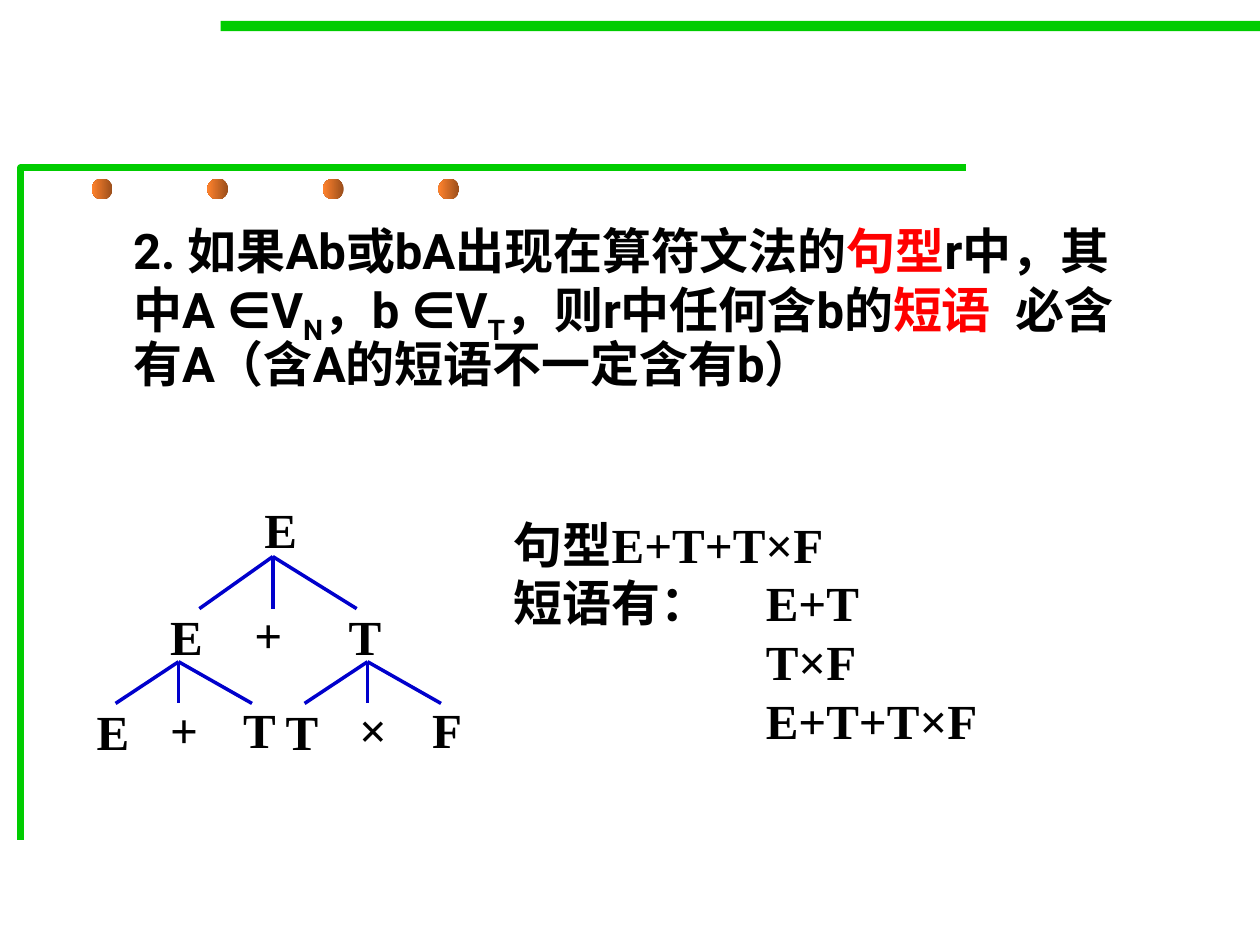
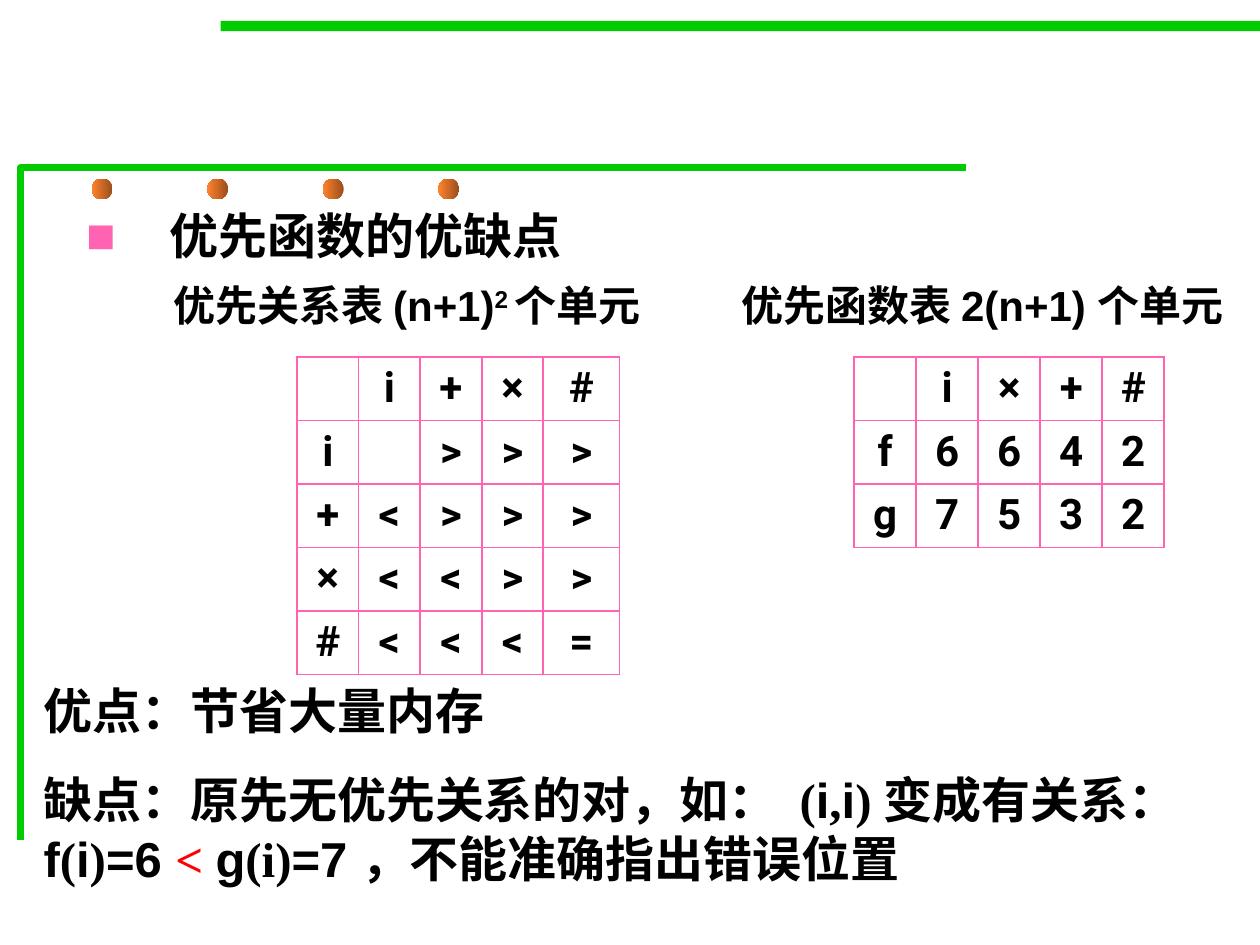
from lxml import etree
from pptx import Presentation
from pptx import util as u
from pptx.dml.color import RGBColor
from pptx.enum import shapes, text
from pptx.oxml.ns import qn

BLACK = RGBColor(0x00, 0x00, 0x00)
RED = RGBColor(0xFF, 0x00, 0x00)
GREEN = RGBColor(0x00, 0xCC, 0x00)
BLUE = RGBColor(0x00, 0x00, 0xCC)
PINK = RGBColor(0xFF, 0x63, 0xB1)
DARK_ORANGE = RGBColor(0x9A, 0x4E, 0x1B)
ORANGE = RGBColor(0xFF, 0x82, 0x2D)
SERIF, SANS, ROBOTO = "Times New Roman", "Arial", "Roboto"
TAB_STEP = 2.54


class Deck:
    def __init__(self):
        self.presentation = Presentation()
        self.presentation.slide_width = u.Cm(25.4)
        self.presentation.slide_height = u.Cm(19.05)
        self.slide = None

    def add_slide(self):
        self.slide = self.presentation.slides.add_slide(self.presentation.slide_layouts[1])
        title = self.slide.shapes.title.element
        title.getparent().remove(title)
        self.add_frame()

    def add_preset(self, kind, left, top, width, height):
        shape = self.slide.shapes.add_shape(
            kind, u.Cm(left), u.Cm(top), u.Cm(width), u.Cm(height))
        shape.shadow.inherit = False
        shape.line.fill.background()
        return shape

    def add_frame(self):
        bar = self.add_preset(shapes.MSO_SHAPE.RECTANGLE, 4.45, 0.42, 20.95, 0.21)
        bar.fill.solid()
        bar.fill.fore_color.rgb = GREEN
        builder = self.slide.shapes.build_freeform(u.Cm(0.42), u.Cm(16.93))
        builder.add_line_segments(
            [(u.Cm(0.42), u.Cm(3.38)), (u.Cm(19.47), u.Cm(3.38))], close=False)
        corner = builder.convert_to_shape()
        corner.shadow.inherit = False
        corner.fill.background()
        corner.line.color.rgb = GREEN
        corner.line.width = u.Pt(4)
        for index in range(4):
            dot = self.add_preset(shapes.MSO_SHAPE.OVAL, 1.85 + 2.33 * index, 3.6, 0.42, 0.42)
            dot.fill.gradient()
            dot.fill.gradient_angle = 180
            for stop, color in zip(dot.fill.gradient_stops, (DARK_ORANGE, ORANGE)):
                stop.color.rgb = color

    def format_paragraph(self, paragraph, runs, size, font, before=0, first_tab=0,
                         indent=0, bullet=None):
        paragraph.space_before = u.Pt(before)
        properties = paragraph._p.get_or_add_pPr()
        properties.set("marL", str(u.Cm(indent)))
        properties.set("indent", str(-u.Cm(indent)))
        properties.set("defTabSz", str(u.Cm(TAB_STEP)))
        properties.set("hangingPunct", "0")
        if bullet:
            color = etree.SubElement(properties, qn("a:buClr"))
            etree.SubElement(color, qn("a:srgbClr"), val=str(PINK))
            etree.SubElement(properties, qn("a:buFont"), typeface=SANS)
            etree.SubElement(properties, qn("a:buChar"), char=bullet)
        else:
            etree.SubElement(properties, qn("a:buNone"))
        tabs = etree.SubElement(properties, qn("a:tabLst"))
        for index in range(first_tab, first_tab + 8):
            etree.SubElement(tabs, qn("a:tab"), pos=str(u.Cm(TAB_STEP * index)), algn="l")
        for words, style in runs:
            run = paragraph.add_run()
            run.text = words
            run.font.size = u.Pt(size)
            run.font.bold = True
            run.font.name = style.get("font", font)
            run.font.color.rgb = style.get("color", BLACK)
            if "baseline" in style:
                run._r.get_or_add_rPr().set("baseline", str(style["baseline"] * 1000))

    def add_body(self, top, height, runs, indent, **layout):
        body = self.slide.placeholders[1]
        body.left, body.top = u.Cm(1.48), u.Cm(top)
        body.width, body.height = u.Cm(21.59), u.Cm(height)
        body.text_frame.auto_size = text.MSO_AUTO_SIZE.NONE
        paragraph = body.text_frame.paragraphs[0]
        self.format_paragraph(paragraph, runs, 28, ROBOTO, indent=indent, **layout)
        return paragraph

    def add_text(self, left, top, width, height, paragraphs, size=28, font=SERIF,
                 gap=0, wrap=True):
        box = self.slide.shapes.add_textbox(u.Cm(left), u.Cm(top), u.Cm(width), u.Cm(height))
        frame = box.text_frame
        frame.word_wrap = wrap
        frame.auto_size = text.MSO_AUTO_SIZE.SHAPE_TO_FIT_TEXT
        for index, runs in enumerate(paragraphs):
            paragraph = frame.add_paragraph() if index else frame.paragraphs[0]
            self.format_paragraph(paragraph, runs, size, font, before=gap if index else 0)

    def add_node(self, symbol, left, top):
        self.add_text(left, top, 1.27, 1.45, [[(symbol, {})]])

    def add_branches(self, x, y, symbols, drop, offsets):
        for symbol, (end, label_left, label_top) in zip(symbols, offsets):
            line = self.slide.shapes.add_connector(
                shapes.MSO_CONNECTOR.STRAIGHT,
                u.Cm(x), u.Cm(y), u.Cm(x + end), u.Cm(y + drop))
            line.line.color.rgb = BLUE
            line.line.width = u.Pt(2)
            etree.SubElement(line.element.spPr, qn("a:effectLst"))
            self.add_node(symbol, x + label_left, y + label_top)

    def add_grid(self, left, top, widths, row_height, rows):
        table = self.slide.shapes.add_table(
            len(rows), len(widths), u.Cm(left), u.Cm(top),
            u.Cm(sum(widths)), u.Cm(row_height * len(rows))).table
        table.first_row = table.horz_banding = False
        for column, width in zip(table.columns, widths):
            column.width = u.Cm(width)
        for row, values in zip(table.rows, rows):
            row.height = u.Cm(row_height)
            for cell, value in zip(row.cells, values):
                self.format_cell(cell, value)

    def format_cell(self, cell, value):
        properties = cell._tc.get_or_add_tcPr()
        for side in ("a:lnL", "a:lnR", "a:lnT", "a:lnB"):
            border = etree.SubElement(properties, qn(side), w=str(u.Pt(1.08)))
            fill = etree.SubElement(border, qn("a:solidFill"))
            etree.SubElement(fill, qn("a:srgbClr"), val=str(PINK))
        cell.fill.background()
        paragraph = cell.text_frame.paragraphs[0]
        paragraph.alignment = text.PP_ALIGN.CENTER
        if value:
            self.format_paragraph(paragraph, [(value, {})], 24, ROBOTO)


def build_phrase_slide(deck):
    deck.add_slide()
    red, subscript = {"color": RED}, {"baseline": -25}
    paragraph = deck.add_body(4.45, 3.81, [
        ("\t2. 如果Ab或bA出现在算符文法的", {}), ("句型", red),
        ("r中，其\t中A ∈V", {}), ("N", subscript), ("，b ∈V", {}), ("T", subscript),
        ("，则r中任何含b的", {}), ("短语\t", red),
        ("必含有A（含A的短语不一定含有b）", {})], indent=0.95)
    paragraph.line_spacing = 0.9

    deck.add_node("E", 5.08, 9.95)
    deck.add_branches(5.5, 11.22, "E+T", 1.05,
                      [(-1.48, -2.32, 0.89), (0, -0.62, 0.84), (1.69, 1.28, 0.89)])
    for x, symbols in ((3.6, "E+T"), (7.41, "T×F")):
        deck.add_branches(x, 13.34, symbols, 0.84,
                          [(-1.27, -1.9, 0.68), (0, -0.42, 0.63), (1.48, 1.05, 0.63)])

    lines = ("句型E+T+T×F", "短语有：\tE+T", "\t\tT×F", "\t\tE+T+T×F")
    deck.add_text(10.11, 10.24, 12.55, 5, [[(line, {})] for line in lines])


def build_function_slide(deck):
    deck.add_slide()
    heading = deck.add_body(4.02, 1.48, [("优先函数的优缺点", {})],
                            indent=1.69, bullet="■", first_tab=1)
    heading.alignment = text.PP_ALIGN.JUSTIFY
    deck.add_text(3.25, 5.5, 10.36, 1.27, [[
        ("优先关系表 (n+1)", {}), ("2 ", {"baseline": 30}), ("个单元", {})]],
        size=24, font=SANS)
    deck.add_text(14.7, 5.5, 10.7, 1.27, [[("优先函数表 2(n+1) 个单元", {})]],
                  size=24, font=SANS, wrap=False)

    relations = [["", *"i+×#"], ["i", "", *">>>"], "+<>>>", "×<<>>", "#<<<="]
    deck.add_grid(5.99, 7.2, [1.24] * 4 + [1.54], 1.28, relations)
    functions = [["", *"i×+#"], "f6642", "g7532"]
    deck.add_grid(17.22, 7.2, [1.25] * 5, 1.28, functions)

    sans = {"font": SANS}
    deck.add_text(0.63, 13.59, 24.77, 4.45, [
        [("优点：节省大量内存", {})],
        [("缺点：原先无优先关系的对，如：\t(", {}), ("i", sans), (",", {}), ("i", sans),
         (") 变成有关系：\t \t", {}), ("f", sans), ("(", {}), ("i", sans), (")", {}),
         ("=6 ", sans), ("< ", {"color": RED}), ("g", sans), ("(i)", {}),
         ("=7 ，", sans), ("不能准确指出错误位置", {})]], gap=17.5)


def main():
    deck = Deck()
    build_phrase_slide(deck)
    build_function_slide(deck)
    deck.presentation.save("out.pptx")


if __name__ == "__main__":
    main()
